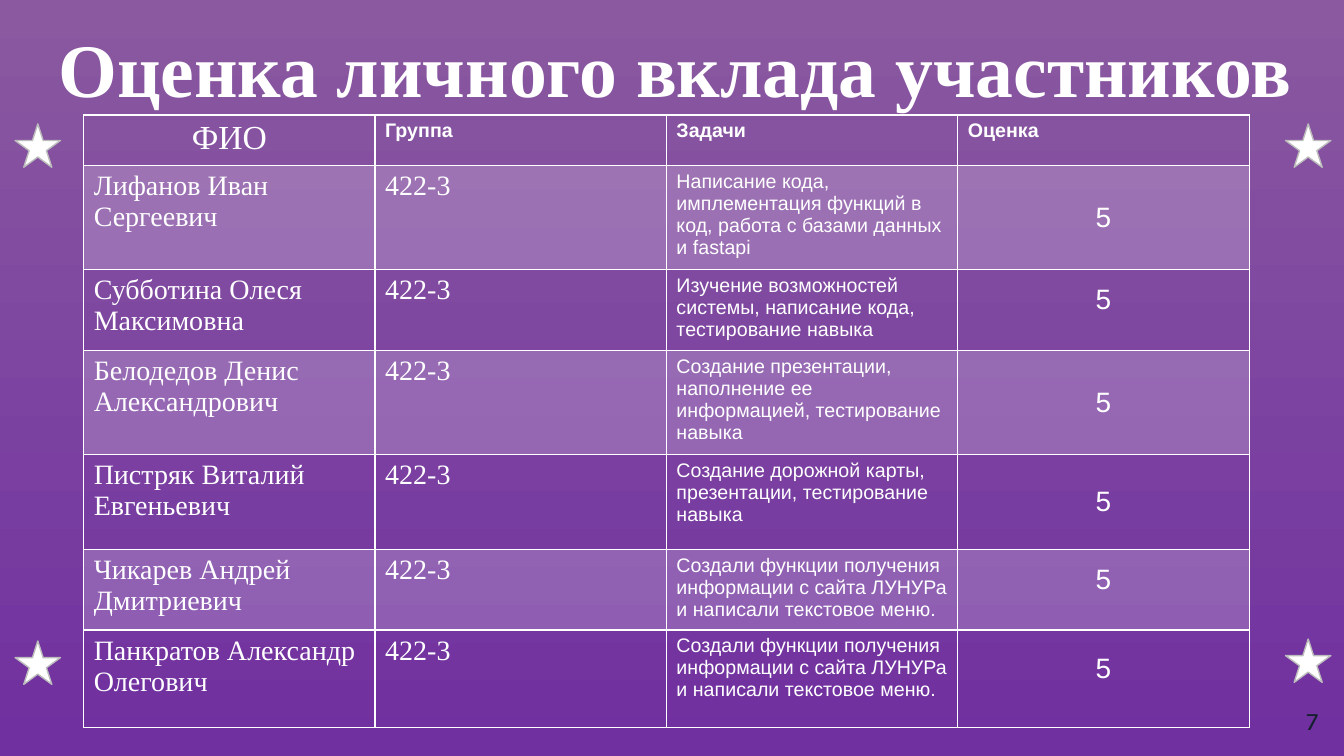
from itertools import product

from lxml import etree
from pptx import Presentation
from pptx.dml.color import RGBColor
from pptx.enum import shapes, text
from pptx.oxml.ns import qn
from pptx.util import Inches, Pt

WHITE = RGBColor(0xFF, 0xFF, 0xFF)
NAVY = RGBColor(0x16, 0x1F, 0x2E)
SILVER = RGBColor(0xBC, 0xBC, 0xBC)
LILAC = RGBColor(0x8A, 0x59, 0xA0)
PURPLE = RGBColor(0x70, 0x30, 0xA0)
SERIF = "Times New Roman"
SANS = "Arial"

HEADERS = ["ФИО", "Группа", "Задачи", "Оценка"]
GROUP = "422-3"
GRADE = "5"
MENU_TASK = "Создали функции получения информации с сайта ЛУНУРа и написали текстовое меню."
MEMBERS = [
    ("Лифанов Иван Сергеевич",
     "Написание кода, имплементация функций в код, работа с базами данных и fastapi", 0.97, 0.05),
    ("Субботина Олеся Максимовна",
     "Изучение возможностей системы, написание кода, тестирование навыка", 0.8, 0.25),
    ("Белодедов Денис Александрович",
     "Создание презентации, наполнение ее информацией, тестирование навыка", 0.98, 0.05),
    ("Пистряк Виталий Евгеньевич",
     "Создание дорожной карты, презентации, тестирование навыка", 0.94, 0.05),
    ("Чикарев Андрей Дмитриевич", MENU_TASK, 0.8, 0.25),
    ("Панкратов Александр Олегович", MENU_TASK, 0.97, 0.25),
]
HEADER_HEIGHT = 0.47


def write(frame, words, size, font, color=WHITE, bold=False, centered=False):
    frame.text = words
    paragraph = frame.paragraphs[0]
    paragraph.alignment = text.PP_ALIGN.CENTER if centered else text.PP_ALIGN.LEFT
    style = paragraph.runs[0].font
    style.size = Pt(size)
    style.name = font
    style.bold = bold
    style.color.rgb = color


def paint_background(slide):
    fill = slide.background.fill
    fill.gradient()
    fill.gradient_angle = 270
    for stop, color in zip(fill.gradient_stops, (LILAC, PURPLE)):
        stop.color.rgb = color


def add_label(slide, left, top, width, height, words, size, font, color,
              bold=False, side_inset=0.1, top_inset=0.05):
    box = slide.shapes.add_textbox(Inches(left), Inches(top), Inches(width), Inches(height))
    frame = box.text_frame
    frame.word_wrap = True
    frame.margin_left = frame.margin_right = Inches(side_inset)
    frame.margin_top = Inches(top_inset)
    write(frame, words, size, font, color, bold)


def add_star(slide, left, top, width=0.45, height=0.43):
    star = slide.shapes.add_shape(shapes.MSO_SHAPE.STAR_5_POINT, Inches(left), Inches(top),
                                  Inches(width), Inches(height))
    star.shadow.inherit = False
    star.fill.solid()
    star.fill.fore_color.rgb = WHITE
    star.line.color.rgb = SILVER
    star.line.width = Pt(1)


def outline_cell(cell):
    properties = cell._tc.get_or_add_tcPr()
    for side in ("lnL", "lnR", "lnT", "lnB"):
        line = etree.SubElement(properties, qn(f"a:{side}"), w=str(Pt(0.96)))
        solid = etree.SubElement(line, qn("a:solidFill"))
        etree.SubElement(solid, qn("a:srgbClr"), val=str(WHITE))


def fill_cell(cell, shaded):
    if not shaded:
        cell.fill.background()
        return
    cell.fill.solid()
    cell.fill.fore_color.rgb = WHITE
    color = cell._tc.tcPr.find(qn("a:solidFill")).find(qn("a:srgbClr"))
    etree.SubElement(color, qn("a:alpha"), val="20000")


def add_members_table(slide, left, top, width):
    heights = [HEADER_HEIGHT] + [member[2] for member in MEMBERS]
    frame = slide.shapes.add_table(len(heights), len(HEADERS), Inches(left), Inches(top),
                                   Inches(width), Inches(sum(heights)))
    table = frame.table
    for column in table.columns:
        column.width = Inches(width / len(HEADERS))
    for row, height in zip(table.rows, heights):
        row.height = Inches(height)
    for row, column in product(range(len(heights)), range(len(HEADERS))):
        cell = table.cell(row, column)
        outline_cell(cell)
        fill_cell(cell, row % 2 == 1)

    for column, header in enumerate(HEADERS):
        is_name = column == 0
        write(table.cell(0, column).text_frame, header, 24 if is_name else 14,
              SERIF if is_name else SANS, bold=not is_name, centered=is_name)
    for row, (name, task, _, grade_inset) in enumerate(MEMBERS, start=1):
        write(table.cell(row, 0).text_frame, name, 20, SERIF)
        write(table.cell(row, 1).text_frame, GROUP, 20, SERIF)
        write(table.cell(row, 2).text_frame, task, 14, SANS)
        grade = table.cell(row, 3)
        write(grade.text_frame, GRADE, 20, SANS, centered=True)
        grade.vertical_anchor = text.MSO_ANCHOR.MIDDLE
        grade.margin_bottom = Inches(grade_inset)


def main():
    presentation = Presentation()
    presentation.slide_width = Inches(13.33)
    presentation.slide_height = Inches(7.5)
    slide = presentation.slides.add_slide(presentation.slide_layouts[6])
    paint_background(slide)
    add_label(slide, 0.45, 0, 12.69, 0.83, "Оценка личного вклада участников",
              54, SERIF, WHITE, bold=True, side_inset=0.13, top_inset=0.22)
    add_label(slide, 12.8, 6.95, 0.49, 0.4, " 7", 18, "Karla", NAVY)
    add_members_table(slide, 0.83, 1.14, 11.56)
    for left, top in ((0.15, 1.23), (12.75, 1.23), (0.15, 6.36), (12.75, 6.34)):
        add_star(slide, left, top)
    presentation.save("out.pptx")


if __name__ == "__main__":
    main()
